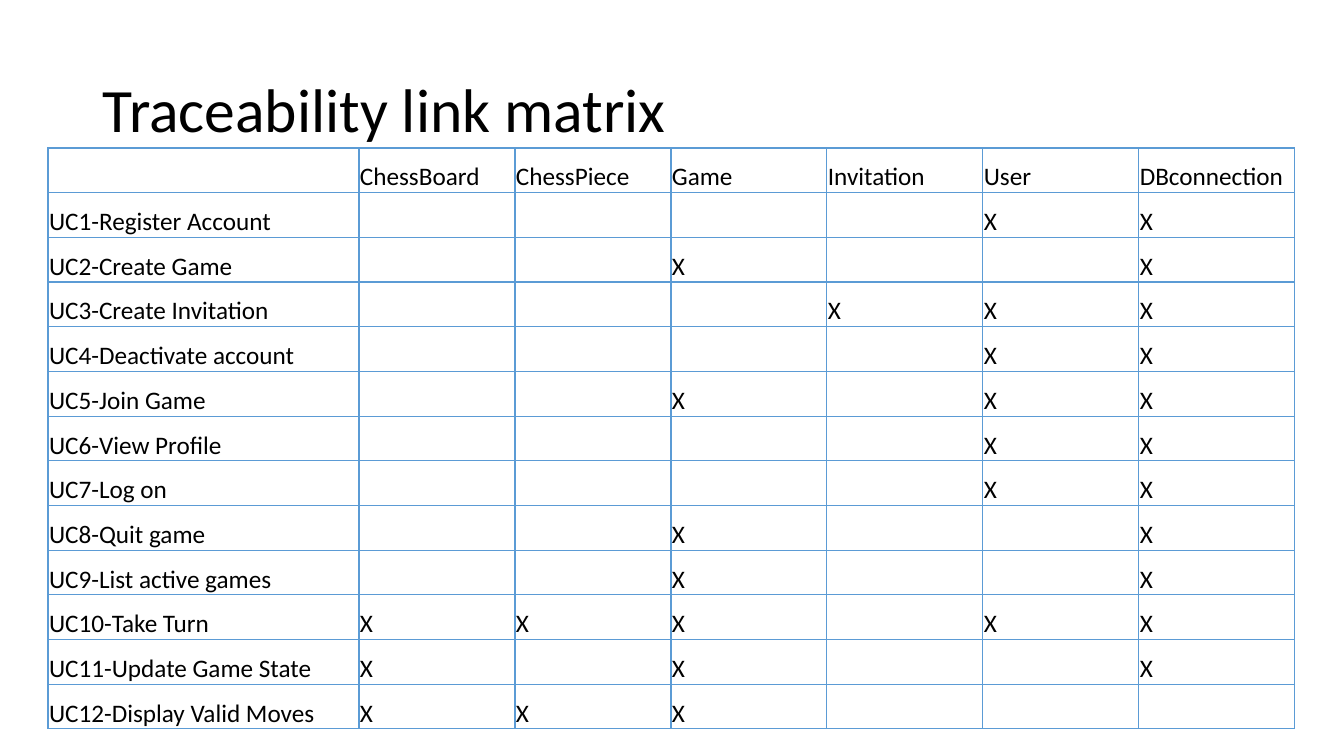
from lxml import etree
from pptx import Presentation
from pptx.dml.color import RGBColor
from pptx.enum.text import MSO_ANCHOR
from pptx.oxml.ns import qn
from pptx.util import Emu, Pt

MIDDLE, BOTTOM = MSO_ANCHOR.MIDDLE, MSO_ANCHOR.BOTTOM
EMU_PER_PIXEL = 914400 / 100.8
COLORS = {"text": "000000", "grid": "5B9BD5"}

CLASSES = ["ChessBoard", "ChessPiece", "Game", "Invitation", "User", "DBconnection"]
USE_CASES = [
    ("UC1-Register Account", "User DBconnection"),
    ("UC2-Create Game", "Game DBconnection"),
    ("UC3-Create Invitation", "Invitation User DBconnection"),
    ("UC4-Deactivate account", "User DBconnection"),
    ("UC5-Join Game", "Game User DBconnection"),
    ("UC6-View Profile", "User DBconnection"),
    ("UC7-Log on", "User DBconnection"),
    ("UC8-Quit game", "Game DBconnection"),
    ("UC9-List active games", "Game DBconnection"),
    ("UC10-Take Turn", "ChessBoard ChessPiece Game User DBconnection"),
    ("UC11-Update Game State", "ChessBoard Game DBconnection"),
    ("UC12-Display Valid Moves", "ChessBoard ChessPiece Game"),
]


def px(pixels):
    """Turn pixels into EMU."""
    return Emu(round(pixels * EMU_PER_PIXEL))


class Page:
    """Hold the text style and the current slide."""

    font = "Calibri"

    def __init__(self, deck):
        """Add a blank slide to the deck."""
        self.slide = deck.slides.add_slide(deck.slide_layouts[6])

    def add_span(self, para, text, size):
        """Add one styled run to a paragraph."""
        span = para.add_run()
        span.text = text
        span.font.name = self.font
        span.font.size = Pt(size)
        span.font.color.rgb = RGBColor.from_string(COLORS["text"])

    def title(self, text, left, top, width, height):
        """Add a vertically centred title."""
        box = self.slide.shapes.add_textbox(px(left), px(top), px(width), px(height))
        box.text_frame.word_wrap = True
        box.text_frame.vertical_anchor = MIDDLE
        para = box.text_frame.paragraphs[0]
        para.line_spacing = 0.9
        self.add_span(para, text, 44)

    def border(self, cell):
        """Draw a thin line on all four sides of a cell."""
        properties = cell._tc.get_or_add_tcPr()
        for side in ("lnL", "lnR", "lnT", "lnB"):
            line = etree.SubElement(properties, qn(f"a:{side}"), w=str(int(Pt(1))))
            fill = etree.SubElement(line, qn("a:solidFill"))
            etree.SubElement(fill, qn("a:srgbClr"), val=COLORS["grid"])

    def table(self, rows, left, top, widths, height):
        """Add a plain ruled table with equal row heights."""
        frame = self.slide.shapes.add_table(
            len(rows), len(widths), px(left), px(top), px(sum(widths)), px(height))
        table = frame.table
        table.first_row = table.horz_banding = False
        for column, width in zip(table.columns, widths):
            column.width = px(width)
        for row, texts in zip(table.rows, rows):
            for cell, text in zip(row.cells, texts):
                self.border(cell)
                cell.fill.background()
                if text:
                    cell.vertical_anchor = BOTTOM
                    cell.margin_left = cell.margin_right = cell.margin_top = px(1)
                    cell.margin_bottom = 0
                    self.add_span(cell.text_frame.paragraphs[0], text, 18)


deck = Presentation()
deck.slide_width, deck.slide_height = px(1344), px(756)
page = Page(deck)
page.title("Traceability link matrix", 93, 40, 1159, 146)

matrix = [["", *CLASSES]]
for use_case, linked in USE_CASES:
    matrix.append([use_case] + ["X" if name in linked.split() else "" for name in CLASSES])
page.table(matrix, 48, 148, [311] + [156] * len(CLASSES), 581)

deck.save("out.pptx")
